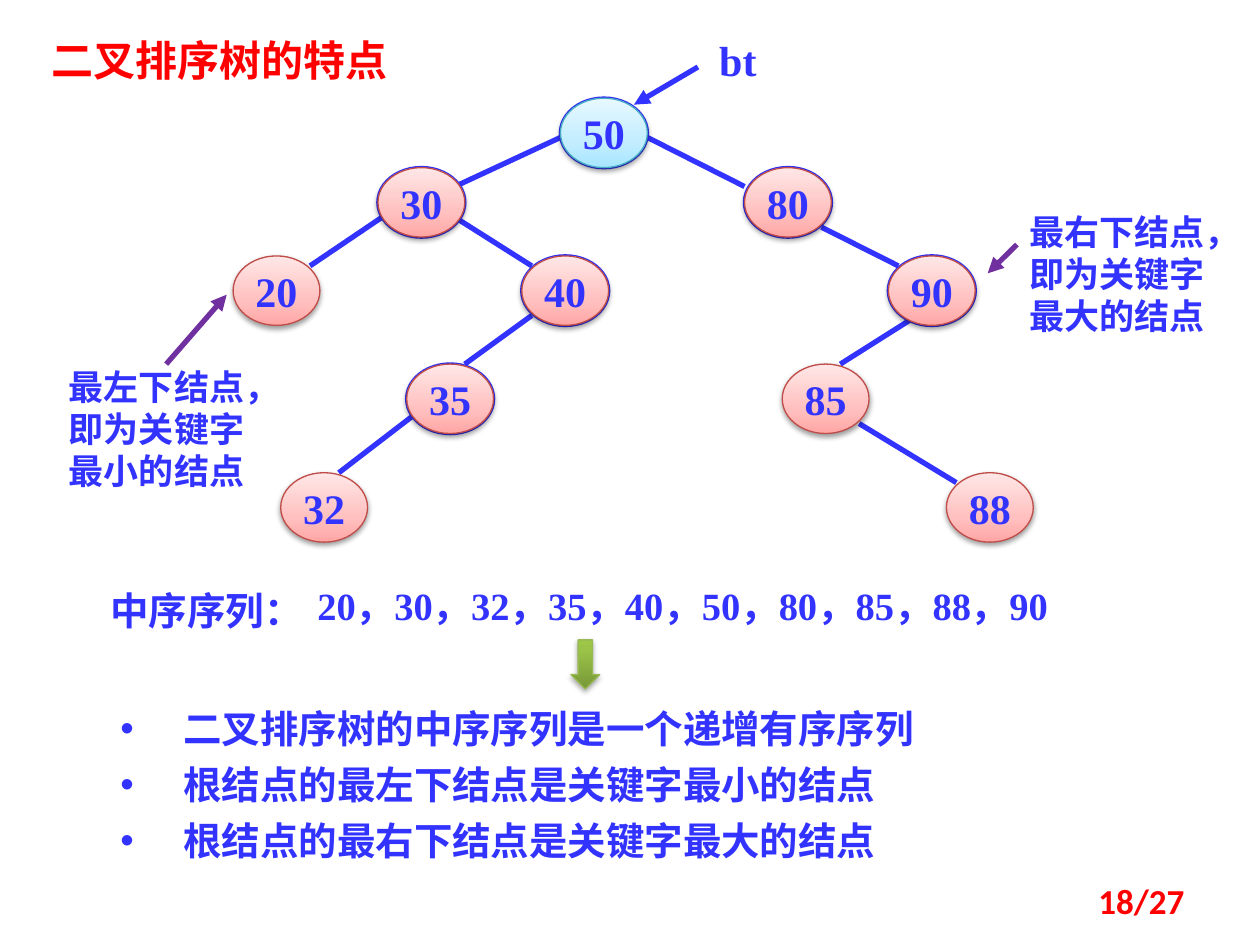
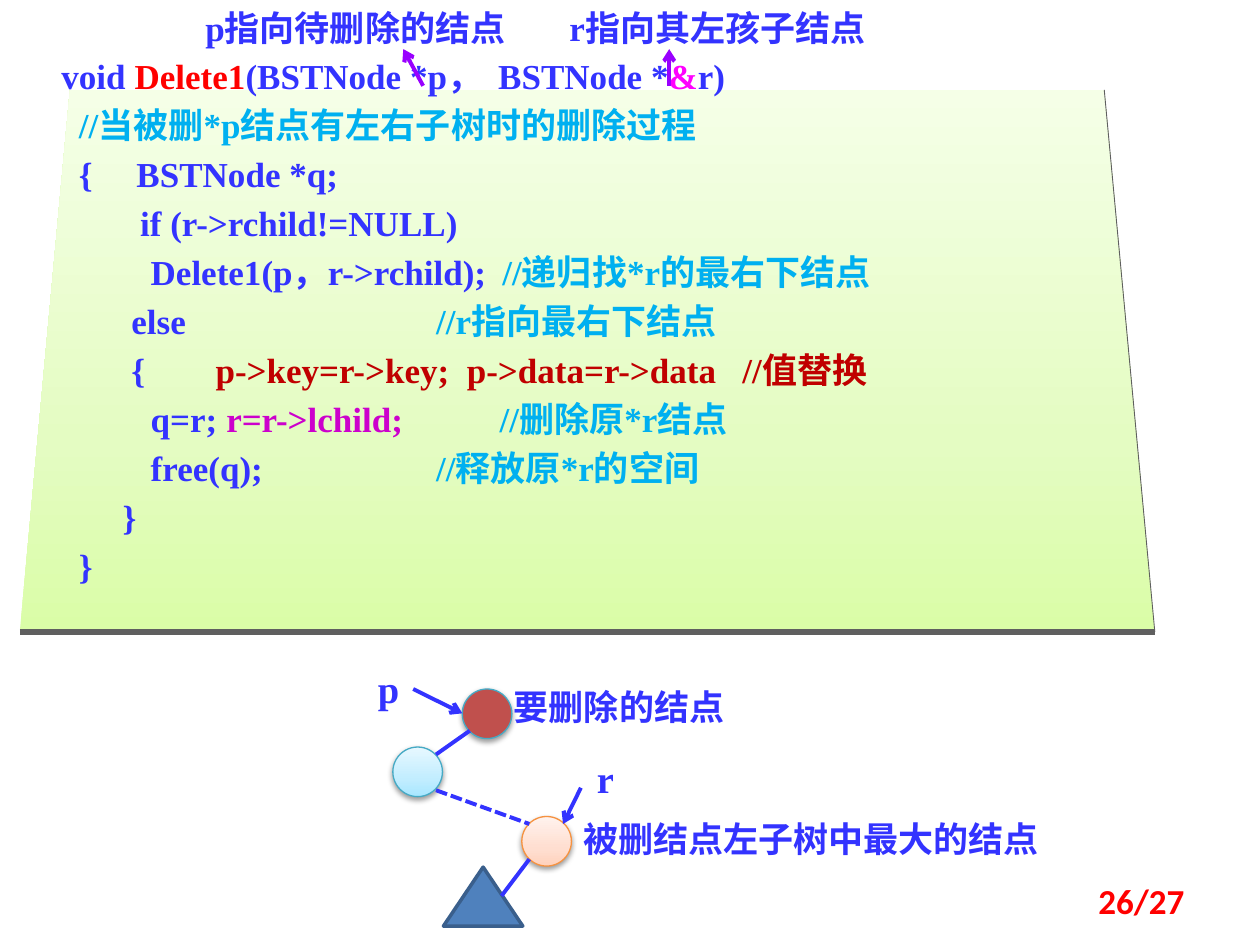
"""Builds two slides on binary sort trees: their properties and deleting a node."""
from copy import deepcopy

from pptx import Presentation
from pptx.dml.color import RGBColor
from pptx.enum.dml import MSO_LINE
from pptx.enum.shapes import MSO_CONNECTOR, MSO_SHAPE
from pptx.enum.text import MSO_ANCHOR, PP_ALIGN
from pptx.oxml import parse_xml
from pptx.oxml.ns import nsdecls, qn
from pptx.util import Cm, Pt

OVAL, TRIANGLE, DOWN_ARROW = MSO_SHAPE.OVAL, MSO_SHAPE.ISOSCELES_TRIANGLE, MSO_SHAPE.DOWN_ARROW
STRAIGHT = MSO_CONNECTOR.STRAIGHT
SHORT_DASH = MSO_LINE.SQUARE_DOT
LEFT, CENTER, RIGHT, JUSTIFY = PP_ALIGN.LEFT, PP_ALIGN.CENTER, PP_ALIGN.RIGHT, PP_ALIGN.JUSTIFY
TOP, MIDDLE = MSO_ANCHOR.TOP, MSO_ANCHOR.MIDDLE

COLORS = {
    "ink": "3333FF", "red": "FF0000", "comment": "00B0F0", "amp": "FF00FF",
    "replace": "C00000", "relink": "CC00CC", "pointer": "9900FF", "extreme": "7030A0",
    "node_rim": "BF4C48", "root_rim": "46AAC5", "max_rim": "F69240", "step_rim": "98B955",
    "deleted": "C0504D", "subtree": "4F81BD", "subtree_rim": "3A5F8C", "panel_edge": "5F5F5F",
}
GRADIENTS = {
    "node": ((0, "FFA6A5"), (0.35, "FFC0BF"), (1, "FFE7E7")),
    "root": ((0, "A7E6FF"), (0.35, "C1EDFF"), (1, "E7F8FF")),
    "max": ((0, "FFD2BD"), (0.35, "FFDED0"), (1, "FFF2ED")),
    "step": ((0, "779737"), (0.8, "9BC348"), (1, "9DC746")),
    "panel": ((0, "DAFDA7"), (0.35, "E4FCC2"), (1, "F5FFE7")),
}
SERIF, SANS, HAN = "Times New Roman", "Calibri", "Noto Sans CJK SC"
PAGE_BOX = (18.21, 17.65, 5.92, 1.02)

NODE_W, NODE_H = 1.75, 1.4
ROWS = (1.98, 3.38, 5.16, 7.34, 9.53)
KEYS = {
    50: (11.3, 0), 30: (7.62, 1), 80: (15.01, 1), 20: (4.7, 2), 40: (10.52, 2),
    90: (17.91, 2), 35: (8.2, 3), 85: (15.77, 3), 32: (5.66, 4), 88: (19.08, 4),
}
RINGED = (50, 30, 80, 40, 90, 35)
EDGES = [
    (50, (0, 0.79), 30, (1.55, 0.38)),
    (50, (1.75, 0.79), 80, (0, 0.38)),
    (30, (0.08, 1), 20, (1.55, 0.2)),
    (30, (1.55, 1), 40, (0.2, 0.2)),
    (40, (0.2, 1.2), 35, (1.17, 0)),
    (80, (1.55, 1.2), 90, (0.2, 0.2)),
    (90, (0.58, 1.2), 85, (1.17, 0)),
    (35, (0.18, 1), 32, (1.17, 0)),
    (85, (1.55, 1.2), 88, (0.2, 0.2)),
]
TREE_ARROWS = [
    ((14.07, 1.35), (12.78, 2.11), "ink"),
    ((3.35, 7.34), (4.57, 5.94), "extreme"),
    ((20.5, 4.93), (19.91, 5.51), "extreme"),
]
TREE_LABELS = [
    ("bt", (14.25, 0.58, 2.39, 1.19), 24),
    ("最左下结点，即为关键字最小的结点", (1.14, 7.24, 4.19, 2.82), 20),
    ("最右下结点，即为关键字最大的结点", (20.5, 4.11, 4.19, 2.82), 20),
    ("中序序列：", (1.98, 11.71, 4.95, 1.19), 22),
    ("20，30，32，35，40，50，80，85，88，90", (6.15, 11.61, 17.07, 1.19), 22),
]
FEATURES = [
    "二叉排序树的中序序列是一个递增有序序列",
    "根结点的最左下结点是关键字最小的结点",
    "根结点的最右下结点是关键字最大的结点",
]

CODE = [
    [("void ", "ink"), ("Delete1", "red"), ("(BSTNode *p，  BSTNode *", "ink"),
     ("&", "amp"), ("r)", "ink")],
    [("  //当被删*p结点有左右子树时的删除过程", "comment")],
    [("  {     BSTNode *q;", "ink")],
    [("         if (r->rchild!=NULL)", "ink")],
    [("\t   Delete1(p，r->rchild);\t", "ink"), ("//递归找*r的最右下结点", "comment")],
    [("        else  \t\t            ", "ink"), ("  //r指向最右下结点", "comment")],
    [("        {        ", "ink"),
     ("p->key=r->key;  p->data=r->data   //值替换", "replace")],
    [("\t   q=r; ", "ink"), ("r=r->lchild;          ", "relink"), (" //删除原*r结点", "comment")],
    [("\t   free(q); \t            ", "ink"), ("  //释放原*r的空间", "comment")],
    [("       }", "ink")],
    [("  }", "ink")],
]
PANEL = [(1.41, 1.81), (22.26, 1.81), (23.28, 12.74), (0.4, 12.74)]
DELETE_LABELS = [
    ("p指向待删除的结点", (3.89, 0, 7, 1.12), 20, LEFT),
    ("r指向其左孩子结点", (11.23, 0, 8.02, 1.12), 20, LEFT),
    ("p", (7.34, 13.28, 0.99, 1.19), 22, CENTER),
    ("r", (11.71, 15.09, 0.99, 1.19), 22, CENTER),
    ("要删除的结点", (10.11, 13.69, 4.95, 1.12), 20, LEFT),
    ("被删结点左子树中最大的结点", (11.51, 16.36, 9.93, 1.12), 20, LEFT),
]
DELETE_NODES = [
    ((9.32, 13.89), "deleted", "root_rim"),
    ((7.92, 15.06), "root", "root_rim"),
    ((10.52, 16.46), "max", "max_rim"),
]
DELETE_LINES = [
    ((8.53, 1.73), (8.13, 0.99), {"color": "pointer", "head": "arrow"}),
    ((13.49, 1.73), (13.49, 0.99), {"color": "pointer", "head": "arrow"}),
    ((8.33, 13.89), (9.32, 14.38), {"head": "arrow"}),
    ((9.47, 14.73), (8.79, 15.21), {}),
    ((8.79, 15.93), (10.67, 16.61), {"dash": SHORT_DASH}),
    ((10.67, 17.32), (10.11, 18.06), {}),
    ((11.71, 15.88), (11.35, 16.61), {"head": "arrow"}),
]


def rgb(name):
    return RGBColor.from_string(COLORS.get(name, name))


def lengths(values):
    return [Cm(value) for value in values]


def write(frame, paragraphs, size, align=LEFT, anchor=TOP, wrap=True, font=SERIF,
          spacing=None, gap=None, bullet=False):
    frame.word_wrap, frame.vertical_anchor = wrap, anchor
    for index, runs in enumerate(paragraphs):
        line = frame.add_paragraph() if index else frame.paragraphs[0]
        if bullet:
            props = line._p.get_or_add_pPr()
            props.set("marL", str(Cm(1.27)))
            props.set("indent", str(Cm(-1.27)))
            props.append(parse_xml(f'<a:buFont {nsdecls("a")} typeface="Arial"/>'))
            props.append(parse_xml(f'<a:buChar {nsdecls("a")} char="•"/>'))
        layout = {"alignment": align, "line_spacing": spacing,
                  "space_before": gap if index else None}
        for name, value in layout.items():
            if value is not None:
                setattr(line, name, value)
        for words, color in runs:
            run = line.add_run()
            run.text = words
            for name, value in {"name": font, "size": Pt(size), "bold": True}.items():
                setattr(run.font, name, value)
            run.font.color.rgb = rgb(color)
            run._r.get_or_add_rPr().append(
                parse_xml(f'<a:ea {nsdecls("a")} typeface="{HAN}"/>'))


def add_text(slide, box, paragraphs, size, **layout):
    write(slide.shapes.add_textbox(*lengths(box)).text_frame, paragraphs, size, **layout)


def paint(shape, fill, rim=None, width=0.75, shadow=38):
    shape.shadow.inherit = False
    if fill in GRADIENTS:
        shape.fill.gradient()
        shape.fill.gradient_angle = 90
        stop_list = shape._element.spPr.find(".//" + qn("a:gsLst"))
        stop_list.append(deepcopy(stop_list[0]))
        for stop, (position, color) in zip(shape.fill.gradient_stops, GRADIENTS[fill]):
            stop.position, stop.color.rgb = position, rgb(color)
    elif fill:
        shape.fill.solid()
        shape.fill.fore_color.rgb = rgb(fill)
    else:
        shape.fill.background()
    if rim:
        shape.line.color.rgb, shape.line.width = rgb(rim), Pt(width)
    else:
        shape.line.fill.background()
    if shadow:
        shape._element.spPr.find(qn("a:effectLst")).append(parse_xml(
            f'<a:outerShdw {nsdecls("a")} blurRad="{Pt(3.1)}" dist="{Pt(1.6)}" dir="5400000"'
            f' rotWithShape="0"><a:srgbClr val="000000"><a:alpha val="{shadow * 1000}"/>'
            '</a:srgbClr></a:outerShdw>'))


def add_shape(slide, kind, box, fill, rim, **style):
    shape = slide.shapes.add_shape(kind, *lengths(box))
    paint(shape, fill, rim, **style)
    return shape


def add_line(slide, start, end, color="ink", width=2.25, head=None, dash=None):
    line = slide.shapes.add_connector(STRAIGHT, *lengths(start + end))
    line.line.color.rgb, line.line.width = rgb(color), Pt(width)
    if dash:
        line.line.dash_style = dash
    props = line._element.spPr
    if head:
        props.find(qn("a:ln")).append(parse_xml(f'<a:tailEnd {nsdecls("a")} type="{head}"/>'))
    props.append(parse_xml(f'<a:effectLst {nsdecls("a")}/>'))


def add_page(deck, number):
    slide = deck.slides.add_slide(deck.slide_layouts[6])
    add_text(slide, PAGE_BOX, [[(f"{number}/27", "red")]], 20,
             align=RIGHT, anchor=MIDDLE, font=SANS)
    return slide


def build_features(deck):
    slide = add_page(deck, 18)
    places = {key: (left, ROWS[row]) for key, (left, row) in KEYS.items()}
    for key in RINGED:
        add_shape(slide, OVAL, places[key] + (NODE_W, NODE_H), None, "ink", width=2, shadow=0)
    for parent, (out_x, out_y), child, (in_x, in_y) in EDGES:
        (parent_x, parent_y), (child_x, child_y) = places[parent], places[child]
        add_line(slide, (parent_x + out_x, parent_y + out_y),
                 (child_x + in_x, child_y + in_y), width=3)
    for key, place in places.items():
        look = "root" if key == 50 else "node"
        node = add_shape(slide, OVAL, place + (NODE_W, NODE_H), look, look + "_rim")
        write(node.text_frame, [[(str(key), "ink")]], 24,
              align=CENTER, anchor=MIDDLE, wrap=False)
    for start, end, color in TREE_ARROWS:
        add_line(slide, start, end, color, 3, "triangle")
    for words, box, size in TREE_LABELS:
        add_text(slide, box, [[(words, "ink")]], size)
    add_text(slide, (0.79, 0.58, 8.74, 1.27), [[("二叉排序树的特点", "red")]], 24, font=HAN)
    add_shape(slide, DOWN_ARROW, (11.51, 12.9, 0.58, 0.99), "step", "step_rim", shadow=35)
    add_text(slide, (2.18, 13.89, 18.26, 3.68), [[(words, "ink")] for words in FEATURES], 22,
             spacing=Pt(32), bullet=True)


def build_deletion(deck):
    slide = add_page(deck, 26)
    outline = slide.shapes.build_freeform(*lengths(PANEL[0]), scale=1.0)
    outline.add_line_segments([lengths(corner) for corner in PANEL[1:]], close=True)
    paint(outline.convert_to_shape(), "panel", shadow=0)
    add_line(slide, PANEL[1], PANEL[2], "panel_edge", 0.5)
    add_line(slide, PANEL[3], PANEL[2], "panel_edge", 3)
    add_text(slide, (0.99, 1.19, 21.72, 11.58), CODE, 20,
             align=JUSTIFY, spacing=Pt(18), gap=Pt(10))
    for place, fill, rim in DELETE_NODES:
        add_shape(slide, OVAL, place + (1, 1), fill, rim)
    add_shape(slide, TRIANGLE, (8.94, 17.48, 1.6, 1.19), "subtree", "subtree_rim",
              width=2, shadow=0)
    for start, end, style in DELETE_LINES:
        add_line(slide, start, end, **style)
    for words, box, size, align in DELETE_LABELS:
        add_text(slide, box, [[(words, "ink")]], size, align=align)


def main():
    deck = Presentation()
    deck.slide_width, deck.slide_height = Cm(25.4), Cm(19.05)
    build_features(deck)
    build_deletion(deck)
    deck.save("out.pptx")


if __name__ == "__main__":
    main()
